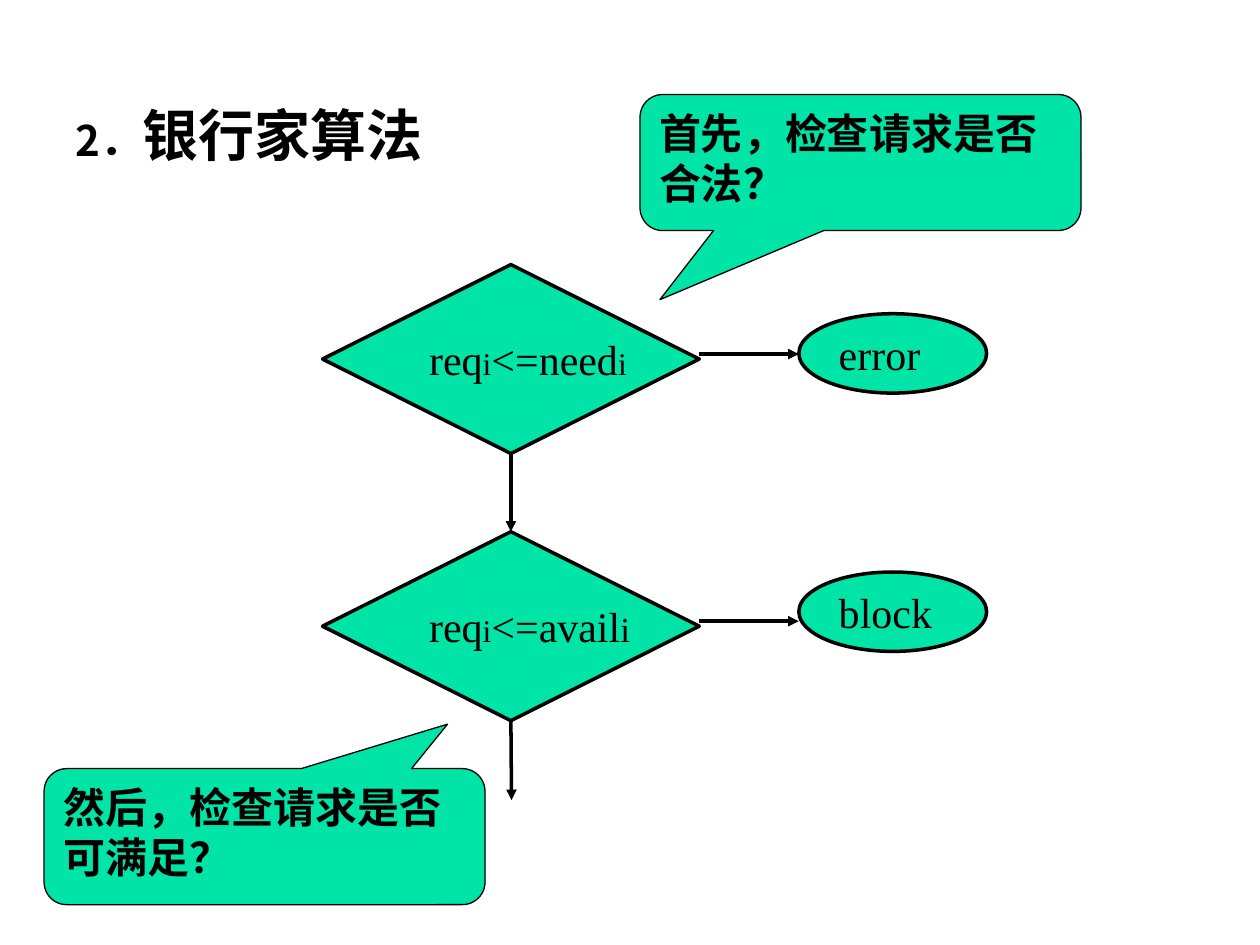
from pptx import Presentation
from pptx.dml.color import RGBColor
from pptx.enum.shapes import MSO_CONNECTOR, MSO_SHAPE
from pptx.enum.text import MSO_ANCHOR, PP_ALIGN
from pptx.oxml.ns import qn
from pptx.util import Inches, Pt
from lxml.etree import SubElement

GREEN = "00E4A8"
BLACK = "000000"
SERIF = "Times New Roman"
SANS = "Noto Sans CJK SC"


def color(value):
    return RGBColor.from_string(value)


def write(box, pieces, font, bold, anchor, wrap):
    frame = box.text_frame
    frame.word_wrap = wrap
    frame.vertical_anchor = anchor
    para = frame.paragraphs[0]
    para.alignment = PP_ALIGN.LEFT
    for text, size in pieces:
        span = para.add_run()
        span.text = text
        span.font.size = Pt(size)
        span.font.bold = bold
        span.font.name = font
        span.font.color.rgb = color(BLACK)
        SubElement(span.font._element, qn("a:ea")).set("typeface", SANS)
    return para


deck = Presentation()
deck.slide_width = Inches(10)
deck.slide_height = Inches(7.5)
page = deck.slides.add_slide(deck.slide_layouts[6])

title = page.shapes.add_textbox(Inches(0.5), Inches(0.75), Inches(9), Inches(0.75))
para = write(title, [("2．", 24), ("银行家算法", 32)], SANS, True, MSO_ANCHOR.TOP, True)
properties = para._p.get_or_add_pPr()
properties.set("marL", str(Inches(0.38)))
properties.set("indent", str(Inches(-0.38)))

nodes = [
    (MSO_SHAPE.DIAMOND, 2.56, 2.1, 2.99, 1.5, [("req", 24), ("i", 18), ("<=need", 24), ("i", 18)]),
    (MSO_SHAPE.OVAL, 6.34, 2.49, 1.49, 0.63, [("error", 24)]),
    (MSO_SHAPE.DIAMOND, 2.56, 4.22, 2.99, 1.5, [("req", 24), ("i", 18), ("<=avail", 24), ("i", 20)]),
    (MSO_SHAPE.OVAL, 6.34, 4.54, 1.49, 0.63, [("block", 24)]),
]
diamonds = []
for kind, left, top, width, height, pieces in nodes:
    node = page.shapes.add_shape(kind, Inches(left), Inches(top), Inches(width), Inches(height))
    node.shadow.inherit = False
    node.fill.solid()
    node.fill.fore_color.rgb = color(GREEN)
    node.line.color.rgb = color(BLACK)
    node.line.width = Pt(2)
    write(node, pieces, SERIF, False, MSO_ANCHOR.MIDDLE, False)
    if kind == MSO_SHAPE.DIAMOND:
        diamonds.append(node)
need_check, available_check = diamonds

arrows = [
    (5.55, 2.81, 6.34, 2.81, None, None),
    (4.06, 3.6, 4.06, 4.22, need_check, available_check),
    (5.55, 4.93, 6.34, 4.93, None, None),
    (4.06, 5.72, 4.06, 6.35, available_check, None),
]
for start_x, start_y, end_x, end_y, source, target in arrows:
    arrow = page.shapes.add_connector(
        MSO_CONNECTOR.STRAIGHT, Inches(start_x), Inches(start_y), Inches(end_x), Inches(end_y))
    if source:
        arrow.begin_connect(source, 2)
    if target:
        arrow.end_connect(target, 0)
    arrow.line.color.rgb = color(BLACK)
    arrow.line.width = Pt(2)
    SubElement(arrow.line._get_or_add_ln(), qn("a:tailEnd")).set("type", "triangle")
    SubElement(arrow._element.spPr, qn("a:effectLst"))

callouts = [
    (5.08, 0.75, -0.455, 1.008, "首先，检查请求是否合法？"),
    (0.35, 6.1, 0.415, -0.827, "然后，检查请求是否可满足？"),
]
for left, top, tip_x, tip_y, text in callouts:
    callout = page.shapes.add_shape(
        MSO_SHAPE.ROUNDED_RECTANGULAR_CALLOUT, Inches(left), Inches(top), Inches(3.5), Inches(1.08))
    callout.adjustments[0] = tip_x
    callout.adjustments[1] = tip_y
    callout.shadow.inherit = False
    callout.fill.solid()
    callout.fill.fore_color.rgb = color(GREEN)
    callout.line.color.rgb = color(BLACK)
    callout.line.width = Pt(0.75)
    write(callout, [(text, 24)], SERIF, True, MSO_ANCHOR.TOP, True)

deck.save("out.pptx")
